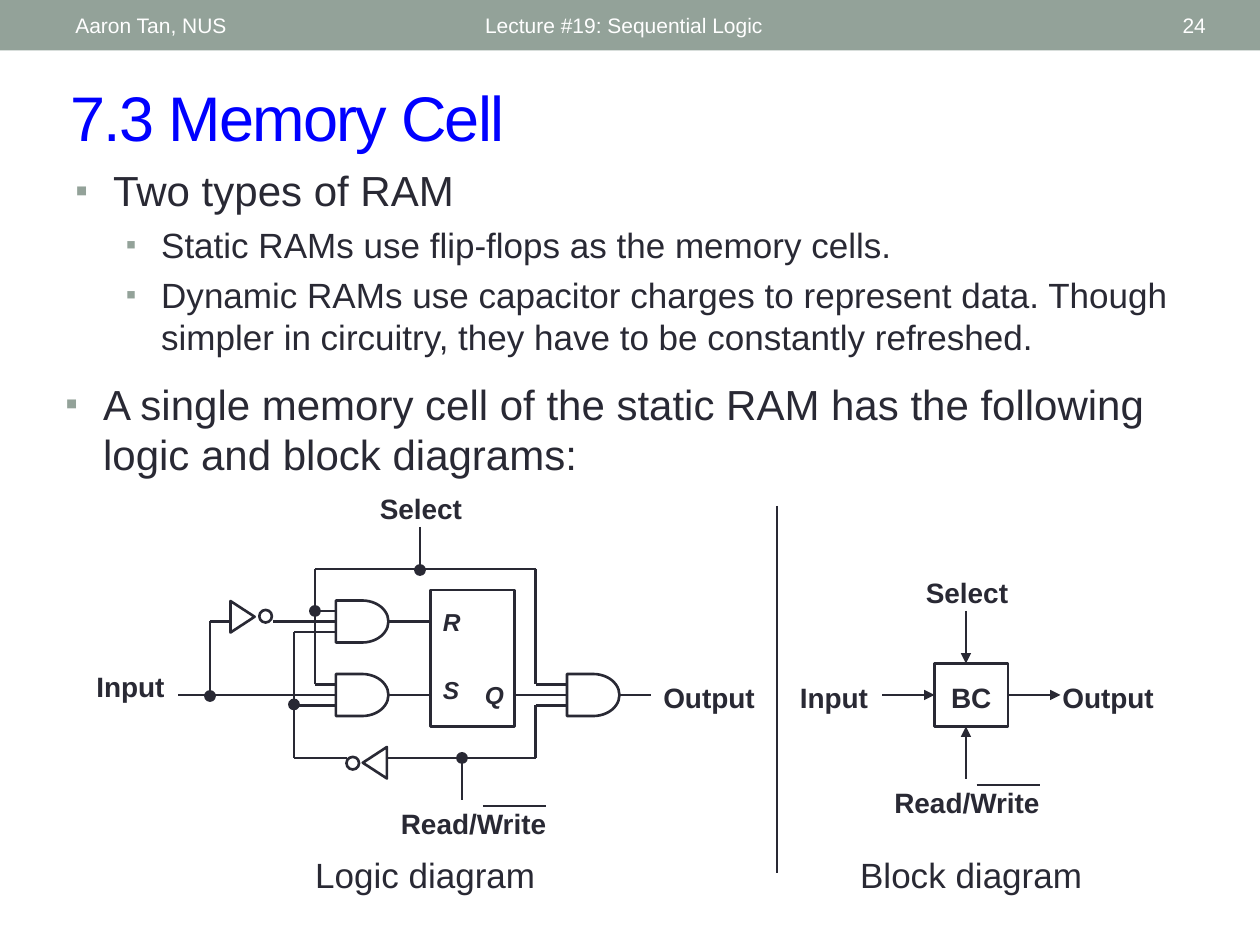
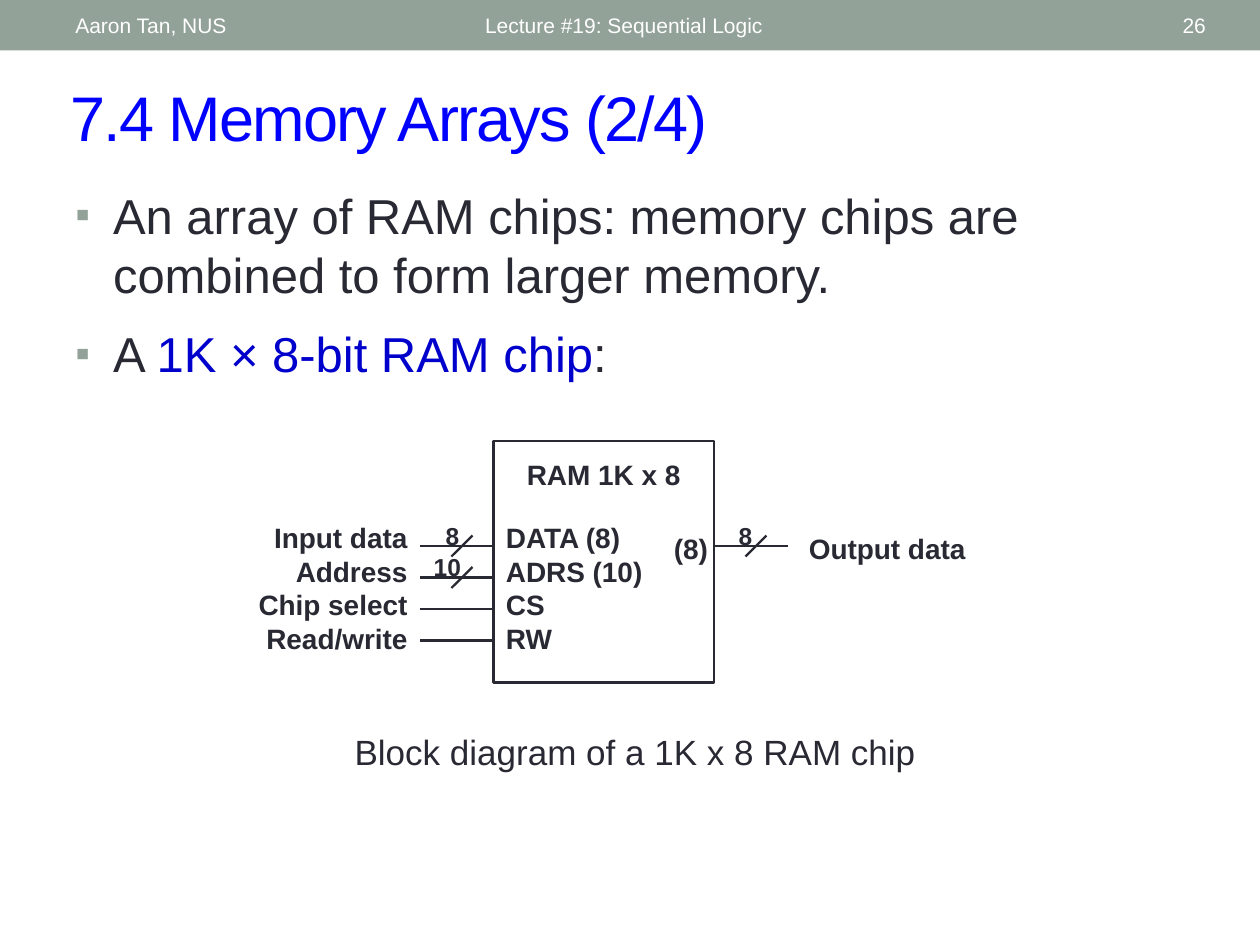
from dataclasses import dataclass
from itertools import pairwise
from typing import NamedTuple

from lxml.etree import SubElement
from pptx import Presentation
from pptx.dml.color import RGBColor
from pptx.enum.shapes import MSO_CONNECTOR, MSO_SHAPE
from pptx.enum.text import MSO_ANCHOR, PP_ALIGN
from pptx.oxml.ns import qn
from pptx.slide import Slide
from pptx.util import Cm, Length, Pt

CELL = 2.54 / 12


@dataclass(frozen=True)
class Theme:
    font: str = "Arial"
    ink: RGBColor = RGBColor(0x29, 0x29, 0x34)
    band: RGBColor = RGBColor(0x93, 0xA2, 0x99)
    paper: RGBColor = RGBColor(0xFF, 0xFF, 0xFF)
    title: RGBColor = RGBColor(0x00, 0x00, 0xFF)
    accent: RGBColor = RGBColor(0x00, 0x00, 0xCC)
    title_size: float = 36
    large_size: float = 28
    body_size: float = 24
    detail_size: float = 20
    label_size: float = 16
    pin_size: float = 14
    header_size: float = 12
    thin: float = 0.75
    wire: float = 1.25
    outline: float = 1.5


THEME = Theme()


class Box(NamedTuple):
    left: Length
    top: Length
    width: Length
    height: Length


class Bullet(NamedTuple):
    margin: Length
    hang: Length
    size: float


class Label(NamedTuple):
    text: str
    col: float
    row: float
    cols: float
    size: float = THEME.label_size
    bold: bool = True
    italic: bool = False
    align: PP_ALIGN = PP_ALIGN.LEFT


class Part(NamedTuple):
    kind: MSO_SHAPE
    col: float
    row: float
    cols: float
    rows: float
    turn: float = 0
    solid: bool = False


class Wire(NamedTuple):
    points: tuple[tuple[float, float], ...]
    width: float = THEME.wire
    arrow: bool = False


MAIN = Bullet(Cm(0.76), Cm(0.76), THEME.body_size)
DETAIL = Bullet(Cm(1.73), Cm(0.71), THEME.detail_size)
LARGE = Bullet(Cm(0.76), Cm(0.76), THEME.large_size)


def add_bullet(paragraph, bullet: Bullet) -> None:
    props = paragraph._p.get_or_add_pPr()
    props.set("marL", str(bullet.margin))
    props.set("indent", str(-bullet.hang))
    SubElement(SubElement(props, qn("a:buClr")), qn("a:srgbClr"), val=str(THEME.band))
    SubElement(props, qn("a:buSzPct"), val="85000")
    SubElement(props, qn("a:buFont"), typeface=THEME.font)
    SubElement(props, qn("a:buChar"), char="▪")


def add_text(slide: Slide, box: Box, text: str, *, size: float = THEME.label_size,
             color: RGBColor = THEME.ink, bold: bool = False, italic: bool = False,
             align: PP_ALIGN = PP_ALIGN.LEFT, anchor: MSO_ANCHOR = MSO_ANCHOR.TOP,
             bullets: tuple[Bullet, ...] = (), before: float = 0,
             accent: str = "", tracking: int = 0) -> None:
    frame = slide.shapes.add_textbox(*box).text_frame
    frame.word_wrap = True
    frame.vertical_anchor = anchor
    for index, line in enumerate(text.split("\n")):
        paragraph = frame.add_paragraph() if index else frame.paragraphs[0]
        paragraph.alignment = align
        paragraph.space_before = Pt(before)
        if bullets:
            add_bullet(paragraph, bullets[index])
        pieces = line.partition(accent) if accent else (line,)
        for piece in filter(None, pieces):
            run = paragraph.add_run()
            run.text = piece
            run.font.name = THEME.font
            run.font.size = Pt(bullets[index].size if bullets else size)
            run.font.bold = bold
            run.font.italic = italic
            run.font.color.rgb = THEME.accent if piece == accent else color
            if tracking:
                run.font._element.set("spc", str(tracking))


@dataclass(frozen=True)
class Diagram:
    slide: Slide
    top: float = 0

    def x(self, col: float) -> Length:
        return Cm(col * CELL)

    def y(self, row: float) -> Length:
        return Cm(self.top + row * CELL)

    def draw_part(self, part: Part) -> None:
        shape = self.slide.shapes.add_shape(part.kind, self.x(part.col), self.y(part.row),
                                            Cm(part.cols * CELL), Cm(part.rows * CELL))
        shape.rotation = part.turn
        shape.shadow.inherit = False
        shape.line.color.rgb = THEME.ink
        shape.line.width = Pt(THEME.thin if part.solid else THEME.outline)
        if part.solid:
            shape.fill.solid()
            shape.fill.fore_color.rgb = THEME.ink
        else:
            shape.fill.background()

    def draw_wire(self, wire: Wire) -> None:
        for start, end in pairwise(wire.points):
            segment = self.slide.shapes.add_connector(
                MSO_CONNECTOR.STRAIGHT, self.x(start[0]), self.y(start[1]),
                self.x(end[0]), self.y(end[1]))
            segment.line.color.rgb = THEME.ink
            segment.line.width = Pt(wire.width)
            if wire.arrow:
                SubElement(segment.line._get_or_add_ln(), qn("a:tailEnd"), type="triangle")
            SubElement(segment._element.spPr, qn("a:effectLst"))

    def draw_label(self, label: Label) -> None:
        rows = 4.4 * (label.text.count("\n") + 1)
        box = Box(self.x(label.col), self.y(label.row), Cm(label.cols * CELL), Cm(rows * CELL))
        add_text(self.slide, box, label.text, size=label.size, bold=label.bold,
                 italic=label.italic, align=label.align)

    def draw(self, parts: list[Part], wires: list[Wire], labels: list[Label]) -> None:
        for part in parts:
            self.draw_part(part)
        for wire in wires:
            self.draw_wire(wire)
        for label in labels:
            self.draw_label(label)


def add_lecture_slide(deck, title: str, number: int) -> Slide:
    slide = deck.slides.add_slide(deck.slide_layouts[6])
    band = slide.shapes.add_shape(MSO_SHAPE.RECTANGLE, 0, 0, deck.slide_width, Cm(1.02))
    band.shadow.inherit = False
    band.fill.solid()
    band.fill.fore_color.rgb = THEME.band
    band.line.fill.background()
    for left, width, text, align in (
        (1.27, 8.05, "Aaron Tan, NUS", PP_ALIGN.LEFT),
        (9.53, 11.43, "Lecture #19: Sequential Logic", PP_ALIGN.LEFT),
        (22.15, 2.41, str(number), PP_ALIGN.RIGHT),
    ):
        add_text(slide, Box(Cm(left), Cm(0.05), Cm(width), Cm(0.91)), text, align=align,
                 size=THEME.header_size, color=THEME.paper, anchor=MSO_ANCHOR.MIDDLE)
    add_text(slide, Box(Cm(1.17), Cm(1.45), Cm(23.39), Cm(1.78)), title, tracking=-100,
             size=THEME.title_size, color=THEME.title, anchor=MSO_ANCHOR.MIDDLE)
    return slide


def build_memory_cell(deck) -> None:
    slide = add_lecture_slide(deck, "7.3 Memory Cell", 24)
    add_text(slide, Box(Cm(1.27), Cm(3.2), Cm(23.06), Cm(4.45)),
             "Two types of RAM\n"
             "Static RAMs use flip-flops as the memory cells.\n"
             "Dynamic RAMs use capacitor charges to represent data. Though simpler in "
             "circuitry, they have to be constantly refreshed.",
             bullets=(MAIN, DETAIL, DETAIL), before=4.6)
    add_text(slide, Box(Cm(1.07), Cm(7.5), Cm(23.06), Cm(2.74)),
             "A single memory cell of the static RAM has the following logic and block "
             "diagrams:", bullets=(MAIN,))

    and_gates = [Part(MSO_SHAPE.FLOWCHART_DELAY, col, row, 5, 4)
                 for col, row in ((32, 9), (32, 16), (54, 16))]
    junctions = [Part(MSO_SHAPE.OVAL, col - 0.5, row - 0.5, 1, 1, solid=True)
                 for col, row in ((30, 10), (28, 18.9), (40, 6.1), (44, 24), (20, 18.1))]
    inverters = [
        Part(MSO_SHAPE.FLOWCHART_EXTRACT, 21.6, 9.4, 3, 2.3, turn=90),
        Part(MSO_SHAPE.OVAL, 24.7, 9.9, 1.2, 1.2),
        Part(MSO_SHAPE.FLOWCHART_EXTRACT, 34.2, 23.3, 3, 2.3, turn=270),
        Part(MSO_SHAPE.OVAL, 33, 23.9, 1.2, 1.2),
    ]
    latch = Part(MSO_SHAPE.RECTANGLE, 41, 8, 8, 13)
    binary_cell = Part(MSO_SHAPE.RECTANGLE, 89, 15, 7, 6)

    wires = [Wire(points) for points in (
        ((40, 2), (40, 6)),
        ((32, 17), (30, 17), (30, 6), (51, 6), (51, 17), (54, 17)),
        ((30, 10), (32, 10)),
        ((20, 18), (20, 11), (22, 11)),
        ((26, 11), (32, 11)),
        ((17, 18), (32, 18)),
        ((32, 12), (28, 12), (28, 24), (33, 24)),
        ((28, 19), (32, 19)),
        ((37, 11), (41, 11)),
        ((37, 18), (41, 18)),
        ((49, 18), (54, 18)),
        ((37, 24), (51, 24), (51, 19), (54, 19)),
        ((44, 24), (44, 28)),
        ((59, 18), (62, 18)),
        ((46, 28.6), (52, 28.6)),
        ((93, 26.6), (99, 26.6)),
    )]
    arrows = [Wire(points, THEME.outline, True) for points in (
        ((92, 10), (92, 15)),
        ((92, 26), (92, 21)),
        ((84, 18), (89, 18)),
        ((96, 18), (101, 18)),
    )]
    divider = Wire(((74, 0), (74, 35)), THEME.thin)

    pins = [Label(text, col, row, 4, THEME.pin_size, italic=True)
            for text, col, row in (("R", 41, 9), ("S", 41, 15.5), ("Q", 45, 16))]
    signals = [
        Label("Input", 8, 15, 10),
        Label("Select", 35, -2, 11),
        Label("Output", 62, 16, 12),
        Label("Read/Write", 37, 28, 17),
        Label("BC", 89, 16, 7, align=PP_ALIGN.CENTER),
        Label("Input", 75, 16, 10),
        Label("Select", 87, 6, 11),
        Label("Output", 100, 16, 12),
        Label("Read/Write", 84, 26, 17),
    ]
    captions = [Label(f"{view} diagram", col, 32.5, 25, THEME.detail_size, False,
                      align=PP_ALIGN.CENTER)
                for view, col in (("Logic", 28), ("Block", 80))]
    Diagram(slide, top=10.2).draw([latch, binary_cell, *and_gates, *inverters, *junctions],
                                  [*wires, *arrows, divider], [*pins, *signals, *captions])


def build_memory_array(deck) -> None:
    slide = add_lecture_slide(deck, "7.4 Memory Arrays (2/4)", 26)
    add_text(slide, Box(Cm(1.27), Cm(3.61), Cm(22.43), Cm(5.08)),
             "An array of RAM chips: memory chips are combined to form larger memory.\n"
             "A 1K × 8-bit RAM chip:",
             bullets=(LARGE, LARGE), before=12, accent="1K × 8-bit RAM chip")

    chip = Part(MSO_SHAPE.RECTANGLE, 47, 42, 21, 23)
    inputs = [Wire(((40, row), (47, row)), THEME.outline) for row in range(52, 62, 3)]
    output = Wire(((68, 52), (75, 52)), THEME.outline)
    bus_slashes = [Wire(((col + 1, row - 1), (col - 1, row + 1)))
                   for col, row in ((44, 52), (44, 55), (72, 52))]
    bus_widths = [Label(text, col, row, cols, THEME.pin_size, align=PP_ALIGN.CENTER)
                  for text, col, row, cols in (("8", 41, 49, 4.2), ("10", 40, 52, 5.2),
                                               ("8", 69, 49, 4))]
    labels = [
        Label("RAM 1K x 8", 48, 43, 19, align=PP_ALIGN.CENTER),
        Label("DATA (8)\nADRS (10)\nCS\nRW", 47, 49, 16),
        Label("Input data\nAddress\nChip select\nRead/write", 23, 49, 17,
              align=PP_ALIGN.RIGHT),
        Label("(8)", 63, 50, 6),
        Label("Output data", 75, 50, 19, align=PP_ALIGN.CENTER),
        Label("Block diagram of a 1K x 8 RAM chip", 30, 69, 61, THEME.detail_size, False,
              align=PP_ALIGN.CENTER),
    ]
    Diagram(slide).draw([chip], [*inputs, output, *bus_slashes], [*labels, *bus_widths])


def main() -> None:
    deck = Presentation()
    deck.slide_width = Cm(25.4)
    deck.slide_height = Cm(19.05)
    build_memory_cell(deck)
    build_memory_array(deck)
    deck.save("out.pptx")


if __name__ == "__main__":
    main()
